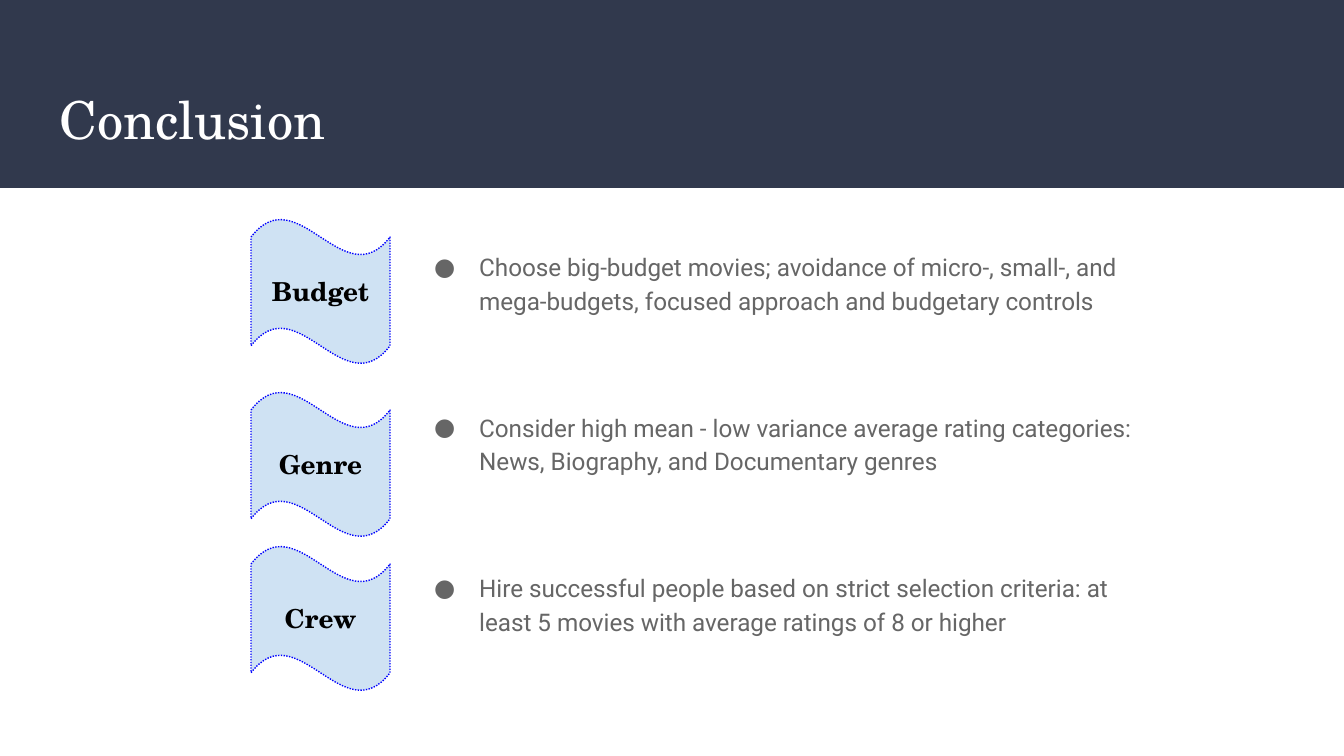
from lxml.etree import SubElement
from pptx import Presentation
from pptx.dml.color import RGBColor
from pptx.enum.dml import MSO_LINE
from pptx.enum.shapes import MSO_SHAPE
from pptx.enum.text import MSO_ANCHOR, PP_ALIGN
from pptx.oxml.ns import qn
from pptx.util import Pt

TITLE = "Conclusion"
POINTS = [
    ("Budget", 219, "Choose big-budget movies; avoidance of micro-, small-, and mega-budgets, focused approach and budgetary controls"),
    ("Genre", 392, "Consider high mean - low variance average rating categories: News, Biography, and Documentary genres"),
    ("Crew", 546, "Hire successful people based on strict selection criteria: at least 5 movies with average ratings of 8 or higher"),
]
SERIF, SANS = "TeX Gyre Schola", "Roboto"
NAVY, WHITE, BLACK, GREY = "31394D", "FFFFFF", "000000", "666666"
PALE, BLUE = "CFE2F3", "0000FF"
HEAD = {"name": SERIF, "size": Pt(28), "bold": False}
LABEL = {"name": SERIF, "size": Pt(14), "bold": True}
BODY = {"name": SANS, "size": Pt(13), "bold": False}
SCALE = 914400 / 134.4


def px(n):
    return round(n * SCALE)


def box(*sides):
    return [px(n) for n in sides]


def color(code):
    return RGBColor.from_string(code)


def write(para, text, style, code):
    run = para.add_run()
    run.text = text
    for key, value in style.items():
        setattr(run.font, key, value)
    run.font.color.rgb = color(code)


def setup(frame, anchor):
    frame.word_wrap = True
    frame.vertical_anchor = anchor
    for side in ("left", "top", "right", "bottom"):
        setattr(frame, "margin_" + side, Pt(7.2))


def shape(kind, area, code):
    item = slide.shapes.add_shape(kind, *box(*area))
    item.shadow.inherit = False
    item.fill.solid()
    item.fill.fore_color.rgb = color(code)
    return item


def bullet(para):
    props = para._p.get_or_add_pPr()
    props.set("marL", str(px(67)))
    props.set("indent", str(px(-45)))
    tint = SubElement(props, qn("a:buClr"))
    SubElement(tint, qn("a:srgbClr"), val=GREY)
    SubElement(props, qn("a:buFont"), typeface=SANS)
    SubElement(props, qn("a:buChar"), char="●")


deck = Presentation()
deck.slide_width, deck.slide_height = box(1344, 756)
slide = deck.slides.add_slide(deck.slide_layouts[5])

band = shape(MSO_SHAPE.RECTANGLE, (0, 0, 1344, 188), NAVY)
band.line.fill.background()
title = slide.shapes.title
slide.shapes._spTree.remove(band._element)
title._element.addprevious(band._element)
title.left, title.top, title.width, title.height = box(46, 74, 1253, 91)
setup(title.text_frame, MSO_ANCHOR.TOP)
para = title.text_frame.paragraphs[0]
para.alignment = PP_ALIGN.LEFT
write(para, TITLE, HEAD, WHITE)

text = slide.shapes.add_textbox(*box(399, 235, 761, 454)).text_frame
setup(text, MSO_ANCHOR.TOP)
for i, (name, top, advice) in enumerate(POINTS):
    wave = shape(MSO_SHAPE.WAVE, (251, top, 139, 145), PALE)
    wave.adjustments[0] = 0.125
    wave.line.color.rgb = color(BLUE)
    wave.line.width = Pt(0.75)
    wave.line.dash_style = MSO_LINE.ROUND_DOT
    setup(wave.text_frame, MSO_ANCHOR.MIDDLE)
    para = wave.text_frame.paragraphs[0]
    para.alignment = PP_ALIGN.CENTER
    write(para, name, LABEL, BLACK)

    para = text.add_paragraph() if i else text.paragraphs[0]
    para.line_spacing = 1.15
    para.space_before = Pt(50 if i else 0)
    bullet(para)
    write(para, advice, BODY, GREY)

deck.save("out.pptx")
